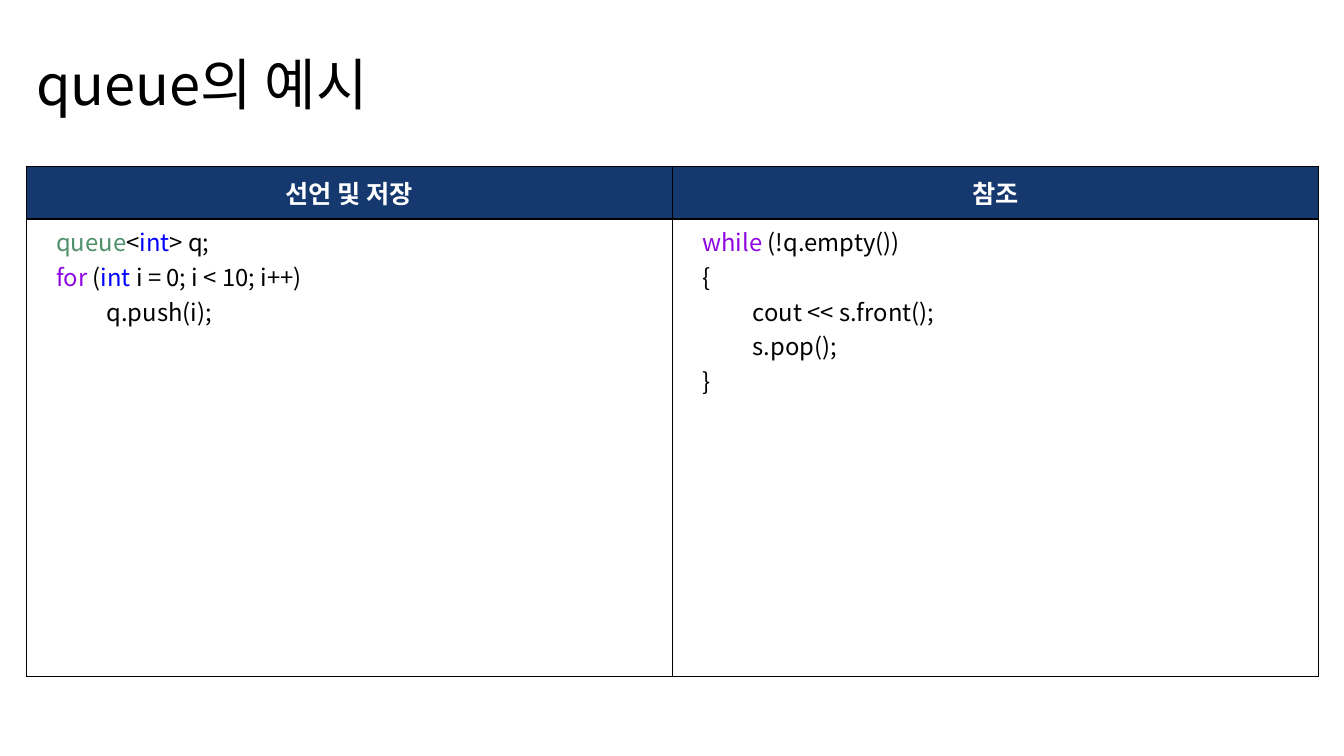
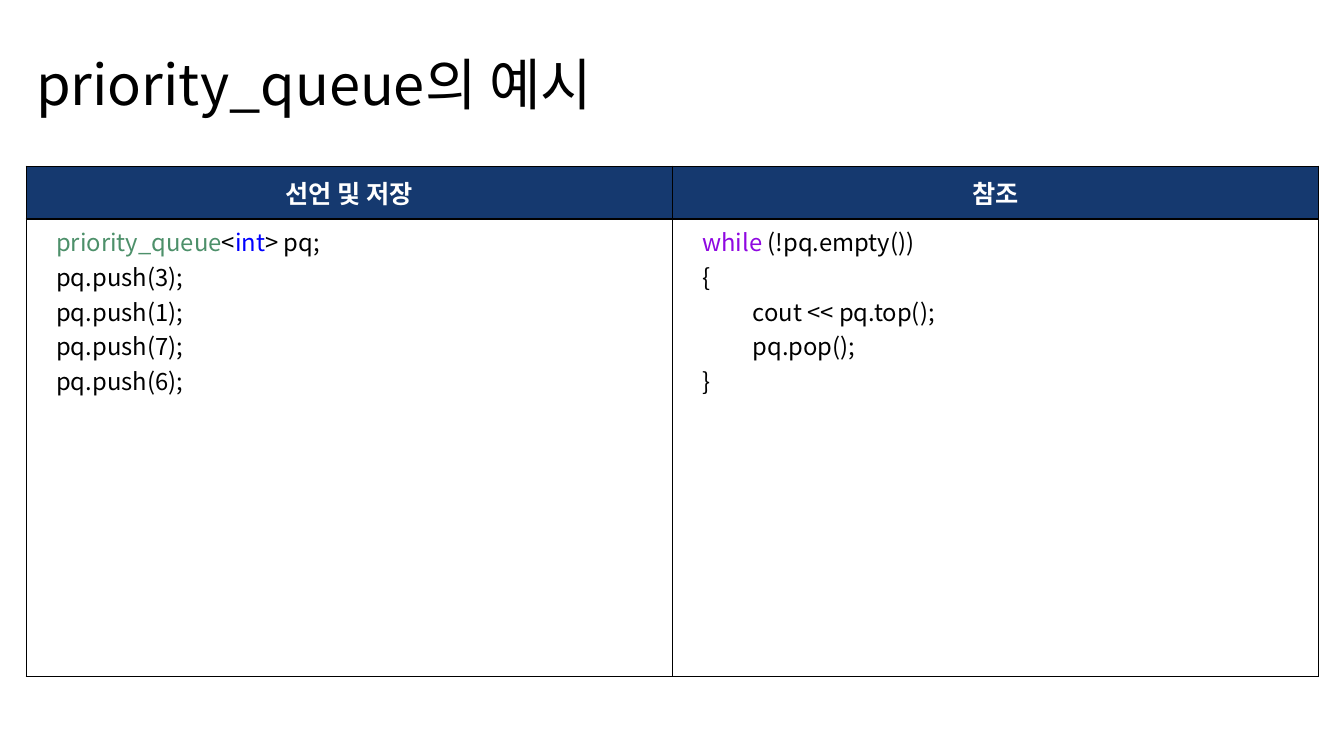
from dataclasses import dataclass

from lxml.etree import SubElement
from pptx import Presentation
from pptx.dml.color import RGBColor as Rgb
from pptx.enum.text import MSO_ANCHOR as Anchor, MSO_AUTO_SIZE as AutoSize, PP_ALIGN as Align
from pptx.oxml.ns import qn
from pptx.util import Cm, Pt


@dataclass(frozen=True)
class Theme:
    """Colours, font and type sizes shared by the slides."""
    font: str = "Noto Sans CJK KR"
    ink: str = "000000"
    paper: str = "FFFFFF"
    header: str = "15396F"
    container: str = "4D906A"
    datatype: str = "0000FF"
    control: str = "8F08E1"
    title_size: int = 40
    header_size: int = 18
    code_size: int = 17
    border: int = 1


@dataclass(frozen=True)
class Box:
    """A region in centimetres."""
    left: float
    top: float
    width: float
    height: float

    def lengths(self):
        """Return left, top, width and height as lengths."""
        return Cm(self.left), Cm(self.top), Cm(self.width), Cm(self.height)


THEME = Theme()
SYNTAX = {
    "queue": THEME.container,
    "priority_queue": THEME.container,
    "int": THEME.datatype,
    "for": THEME.control,
    "while": THEME.control,
}
TITLE_BOX = Box(0.66, 1.12, 22.1, 1.93)
TABLE_BOX = Box(0.66, 4.19, 32.56, 12.86)
HEADER_HEIGHT = 1.33
CODE_INDENT = 0.5
HEADINGS = ("선언 및 저장", "참조")
EXAMPLES = (
    (
        "queue의 예시",
        (
            (("queue", "<", "int", "> q;"),
             ("for", " (", "int", " i = 0; i < 10; i++)"),
             ("\tq.push(i);",)),
            (("while", " (!q.empty())"), ("{",), ("\tcout << s.front();",),
             ("\ts.pop();",), ("}",)),
        ),
    ),
    (
        "priority_queue의 예시",
        (
            (("priority_queue", "<", "int", "> pq;"),
             *((f"pq.push({value});",) for value in (3, 1, 7, 6))),
            (("while", " (!pq.empty())"), ("{",), ("\tcout << pq.top();",),
             ("\tpq.pop();",), ("}",)),
        ),
    ),
)


def style(paragraph, size, colour, bold=False, align=Align.LEFT):
    """Format a whole paragraph, its Korean text included."""
    paragraph.alignment = align
    font = paragraph.font
    font.size, font.bold, font.name = Pt(size), bold, THEME.font
    font.color.rgb = Rgb.from_string(colour)
    defaults = paragraph._p.pPr.find(qn("a:defRPr"))
    SubElement(defaults, qn("a:ea"), typeface=THEME.font)


def finish_cell(cell, colour):
    """Draw the four borders of a cell and fill it."""
    properties = cell._tc.get_or_add_tcPr()
    for side in ("L", "R", "T", "B"):
        edge = SubElement(properties, qn(f"a:ln{side}"), w=str(Pt(THEME.border)))
        SubElement(SubElement(edge, qn("a:solidFill")), qn("a:srgbClr"), val=THEME.ink)
    cell.fill.solid()
    cell.fill.fore_color.rgb = Rgb.from_string(colour)


def place_title(slide, box, wording):
    """Fill the title placeholder and move it into the box."""
    title = slide.shapes.title
    title.left, title.top, title.width, title.height = box.lengths()
    frame = title.text_frame
    frame.text = wording
    frame.auto_size = AutoSize.NONE
    frame.vertical_anchor = Anchor.MIDDLE
    style(frame.paragraphs[0], THEME.title_size, THEME.ink)


def write_heading(cell, wording):
    """Write a column heading."""
    cell.text = wording
    cell.vertical_anchor = Anchor.MIDDLE
    style(cell.text_frame.paragraphs[0], THEME.header_size, THEME.paper, True, Align.CENTER)
    finish_cell(cell, THEME.header)


def write_code(cell, lines):
    """Write highlighted code, one paragraph per line."""
    frame = cell.text_frame
    for number, tokens in enumerate(lines):
        line = frame.add_paragraph() if number else frame.paragraphs[0]
        style(line, THEME.code_size, THEME.ink)
        line._p.pPr.set("marL", str(Cm(CODE_INDENT)))
        line._p.pPr.set("indent", "0")
        for token in tokens:
            run = line.add_run()
            run.text = token
            if token in SYNTAX:
                run.font.color.rgb = Rgb.from_string(SYNTAX[token])
    finish_cell(cell, THEME.paper)


def place_code_table(slide, box, listings):
    """Set the code listings side by side under their headings."""
    table = slide.shapes.add_table(2, len(HEADINGS), *box.lengths()).table
    table.horz_banding = False
    table.rows[0].height = Cm(HEADER_HEIGHT)
    table.rows[1].height = Cm(box.height - HEADER_HEIGHT)
    for column, (heading, lines) in enumerate(zip(HEADINGS, listings)):
        write_heading(table.cell(0, column), heading)
        write_code(table.cell(1, column), lines)


def add_example_slide(deck, title, listings):
    """Add a slide with a title and a table of code."""
    slide = deck.slides.add_slide(deck.slide_layouts.get_by_name("Title Only"))
    place_title(slide, TITLE_BOX, title)
    place_code_table(slide, TABLE_BOX, listings)


def main():
    """Build and save the deck."""
    deck = Presentation()
    deck.slide_width, deck.slide_height = Cm(33.87), Cm(19.05)
    for title, listings in EXAMPLES:
        add_example_slide(deck, title, listings)
    deck.save("out.pptx")


main()
